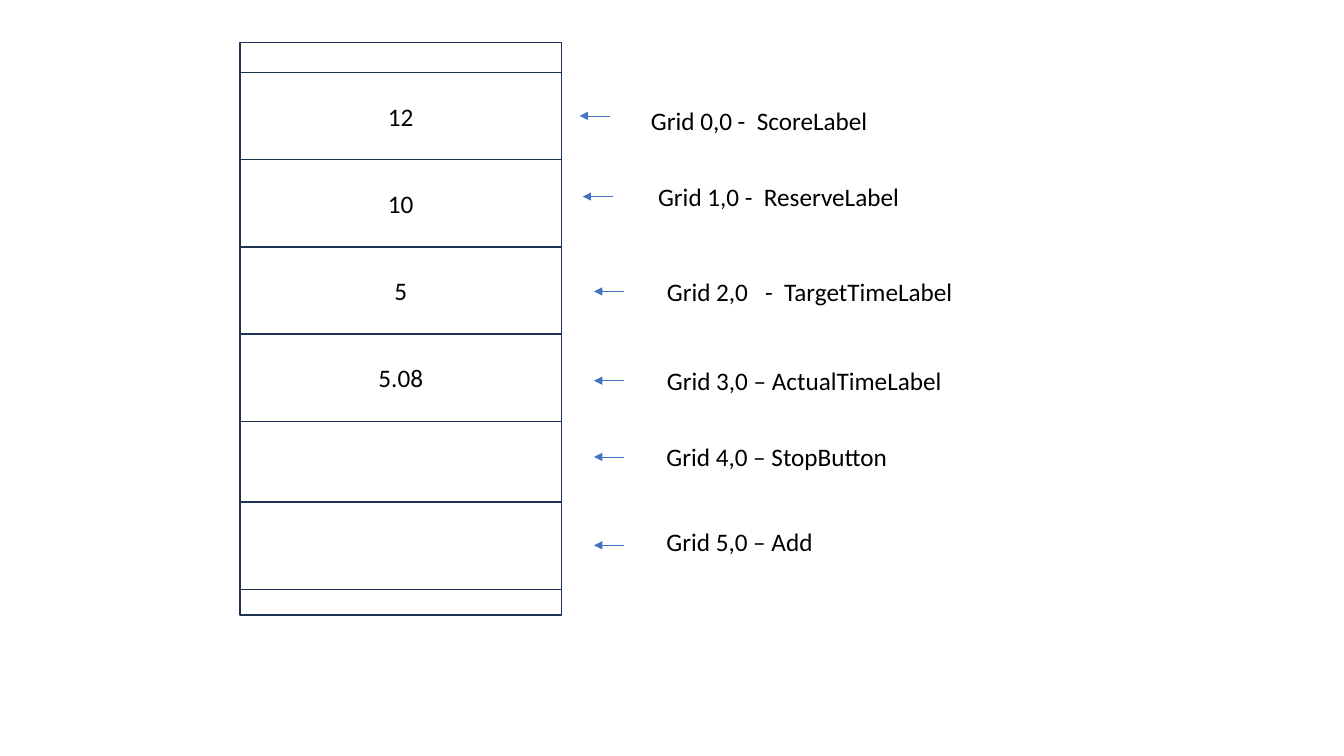
"""Build a slide that maps the rows of a stacked screen layout to their grid labels."""
from lxml.etree import SubElement
from pptx import Presentation
from pptx.dml.color import RGBColor
from pptx.enum.shapes import MSO_CONNECTOR, MSO_SHAPE
from pptx.enum.text import MSO_ANCHOR, MSO_AUTO_SIZE, PP_ALIGN
from pptx.oxml.ns import qn
from pptx.util import Pt

NAVY = RGBColor(0x1E, 0x32, 0x56)
BLUE = RGBColor(0x44, 0x72, 0xC4)
WHITE = RGBColor(0xFF, 0xFF, 0xFF)
BLACK = RGBColor(0x00, 0x00, 0x00)

COLUMN_LEFT, COLUMN_WIDTH = 171.4, 229.7
ROW_HEIGHT = 62.4
ARROW_LENGTH = 21.4
LABEL_HEIGHT = 29


def add_box(top, height):
    box = page.shapes.add_shape(
        MSO_SHAPE.RECTANGLE, Pt(COLUMN_LEFT), Pt(top), Pt(COLUMN_WIDTH), Pt(height))
    box.shadow.inherit = False
    box.line.color.rgb = NAVY
    box.line.width = Pt(1)
    return box


def add_span(para, text):
    span = para.add_run()
    span.text = text
    span.font.name = "Calibri"
    span.font.size = Pt(18)
    span.font.color.rgb = BLACK


deck = Presentation()
deck.slide_width, deck.slide_height = Pt(960), Pt(540)
page = deck.slides.add_slide(deck.slide_layouts[6])

frame = add_box(30.2, 409)
frame.fill.background()

rows = [
    (51.8, "12"),
    (114.1, "10"),
    (176.4, "5"),
    (298.1, ""),
    (238.6, "5.08"),
    (358.6, ""),
]
for top, value in rows:
    row = add_box(top, ROW_HEIGHT)
    row.fill.solid()
    row.fill.fore_color.rgb = WHITE
    if value:
        row.text_frame.vertical_anchor = MSO_ANCHOR.MIDDLE
        para = row.text_frame.paragraphs[0]
        para.alignment = PP_ALIGN.CENTER
        add_span(para, value)

labels = [
    ("Grid 0,0 -  ScoreLabel", 414, 82.8, 457.9, 72, 306.7),
    ("Grid 1,0 -  ReserveLabel", 416.2, 140.4, 463, 126.2, 306.7),
    ("Grid 2,0   -  TargetTimeLabel", 424.3, 208.2, 469.3, 193.7, 306.7),
    ("Grid 3,0 – ActualTimeLabel", 424.3, 271.9, 469.3, 257.2, 480.2),
    ("Grid 4,0 – StopButton", 424.3, 326.4, 469, 311.8, 480.2),
    ("Grid 5,0 – Add", 424.3, 389.5, 469, 372.3, 480.2),
]
for text, tip, level, left, top, width in labels:
    arrow = page.shapes.add_connector(
        MSO_CONNECTOR.STRAIGHT, Pt(tip + ARROW_LENGTH), Pt(level), Pt(tip), Pt(level))
    arrow.line.color.rgb = BLUE
    arrow.line.width = Pt(0.5)
    SubElement(arrow.line._get_or_add_ln(), qn("a:tailEnd"), type="triangle")
    SubElement(arrow._element.spPr, qn("a:effectLst"))

    label = page.shapes.add_textbox(Pt(left), Pt(top), Pt(width), Pt(LABEL_HEIGHT))
    label.text_frame.word_wrap = True
    label.text_frame.auto_size = MSO_AUTO_SIZE.SHAPE_TO_FIT_TEXT
    add_span(label.text_frame.paragraphs[0], text)

deck.save("out.pptx")
